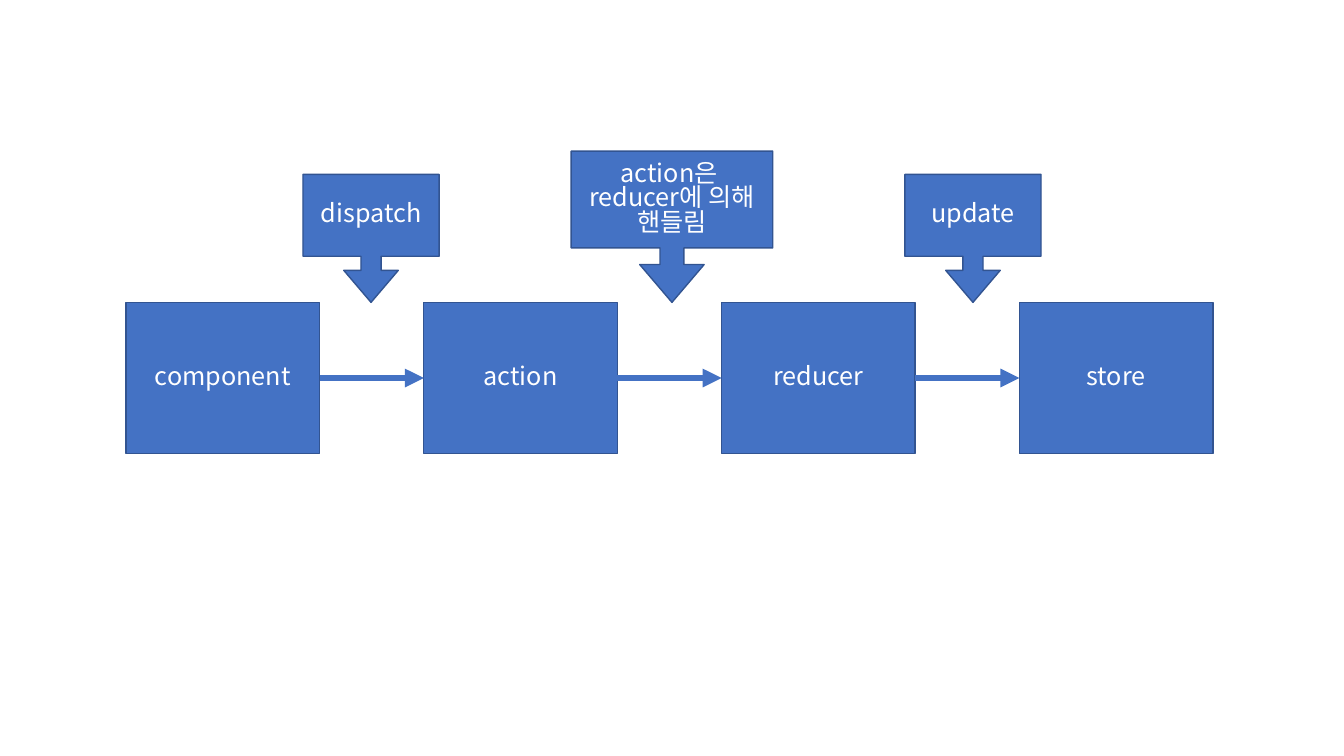
"""Build the slide showing how a component's action reaches the store."""
import dataclasses
import typing

import lxml.etree
import pptx
import pptx.dml.color
import pptx.enum.shapes
import pptx.enum.text
import pptx.oxml.ns
import pptx.util

KIND = pptx.enum.shapes.MSO_SHAPE


@dataclasses.dataclass(frozen=True)
class Theme:
    fill: str = "4472C4"
    edge: str = "325491"
    ink: str = "FFFFFF"
    font: str = "Noto Sans CJK KR"
    size: float = 18
    pitch: float = 0.82
    thin: float = 1
    thick: float = 4.5


class Note(typing.NamedTuple):
    lines: tuple[str, ...]
    width: float
    height: float


LOOK = Theme()
WIDE, HIGH = 13.33, 7.5
ROW = HIGH / 5
LEFT, BOX = 1.25, 1.92
STEP = (10.11 - LEFT) / 3
SPAN = 2.985
TOP = 2 * ROW
STEPS = ("component", "action", "reducer", "store")
NOTES = (
    Note(("dispatch",), 1.35, 1.27),
    Note(("action은 ", "reducer에 의해", "핸들림"), 2, ROW),
    Note(("update",), 1.35, 1.27),
)
BENDS = (0.157, 0.213, 0.25, 0.64)

inch = pptx.util.Inches
rgb = pptx.dml.color.RGBColor.from_string


def add_tag(root, name: str, **attrs: str) -> None:
    """Append an empty drawing element."""
    lxml.etree.SubElement(root, pptx.oxml.ns.qn(name), **attrs)


def put_text(frame, lines: tuple[str, ...], *, size: float = LOOK.size,
             color: str = LOOK.ink, font: str = LOOK.font) -> None:
    """Write centred paragraphs in the given format."""
    frame.word_wrap = True
    frame.vertical_anchor = pptx.enum.text.MSO_ANCHOR.MIDDLE
    for rank, line in enumerate(lines):
        para = frame.add_paragraph() if rank else frame.paragraphs[0]
        para.alignment = pptx.enum.text.PP_ALIGN.CENTER
        para.line_spacing = LOOK.pitch
        run = para.add_run()
        run.text = line
        run.font.size = pptx.util.Pt(size)
        run.font.color.rgb = rgb(color)
        run.font.name = font
        add_tag(run.font._element, "a:ea", typeface=font)


def add_box(slide, kind: KIND, lines: tuple[str, ...], left: float, top: float,
            width: float, height: float, bends: tuple[float, ...] = ()) -> None:
    """Draw a filled shape with its label."""
    shape = slide.shapes.add_shape(kind, *map(inch, (left, top, width, height)))
    shape.shadow.inherit = False
    for rank, bend in enumerate(bends):
        shape.adjustments[rank] = bend
    shape.fill.solid()
    shape.fill.fore_color.rgb = rgb(LOOK.fill)
    shape.line.color.rgb = rgb(LOOK.edge)
    shape.line.width = pptx.util.Pt(LOOK.thin)
    put_text(shape.text_frame, lines)


def add_arrow(slide, start: float, end: float, level: float) -> None:
    """Draw a level arrow between two boxes."""
    arrow = slide.shapes.add_connector(
        pptx.enum.shapes.MSO_CONNECTOR.STRAIGHT,
        *map(inch, (start, level, end, level)))
    arrow.line.color.rgb = rgb(LOOK.fill)
    arrow.line.width = pptx.util.Pt(LOOK.thick)
    add_tag(arrow.line._get_or_add_ln(), "a:tailEnd", type="triangle")
    add_tag(arrow._element.spPr, "a:effectLst")


def main() -> None:
    """Lay out the boxes, arrows and callouts, then save."""
    deck = pptx.Presentation()
    deck.slide_width, deck.slide_height = inch(WIDE), inch(HIGH)
    slide = deck.slides.add_slide(deck.slide_layouts[6])
    for rank, name in enumerate(STEPS):
        left = LEFT + rank * STEP
        add_box(slide, KIND.RECTANGLE, (name,), left, TOP, BOX, ROW)
        if rank:
            add_arrow(slide, left - STEP + BOX, left, TOP + ROW / 2)
    for rank, note in enumerate(NOTES):
        mid = WIDE / 2 + (rank - 1) * SPAN
        add_box(slide, KIND.DOWN_ARROW_CALLOUT, note.lines, mid - note.width / 2,
                TOP - note.height, note.width, note.height, BENDS)
    deck.save("out.pptx")


main()
